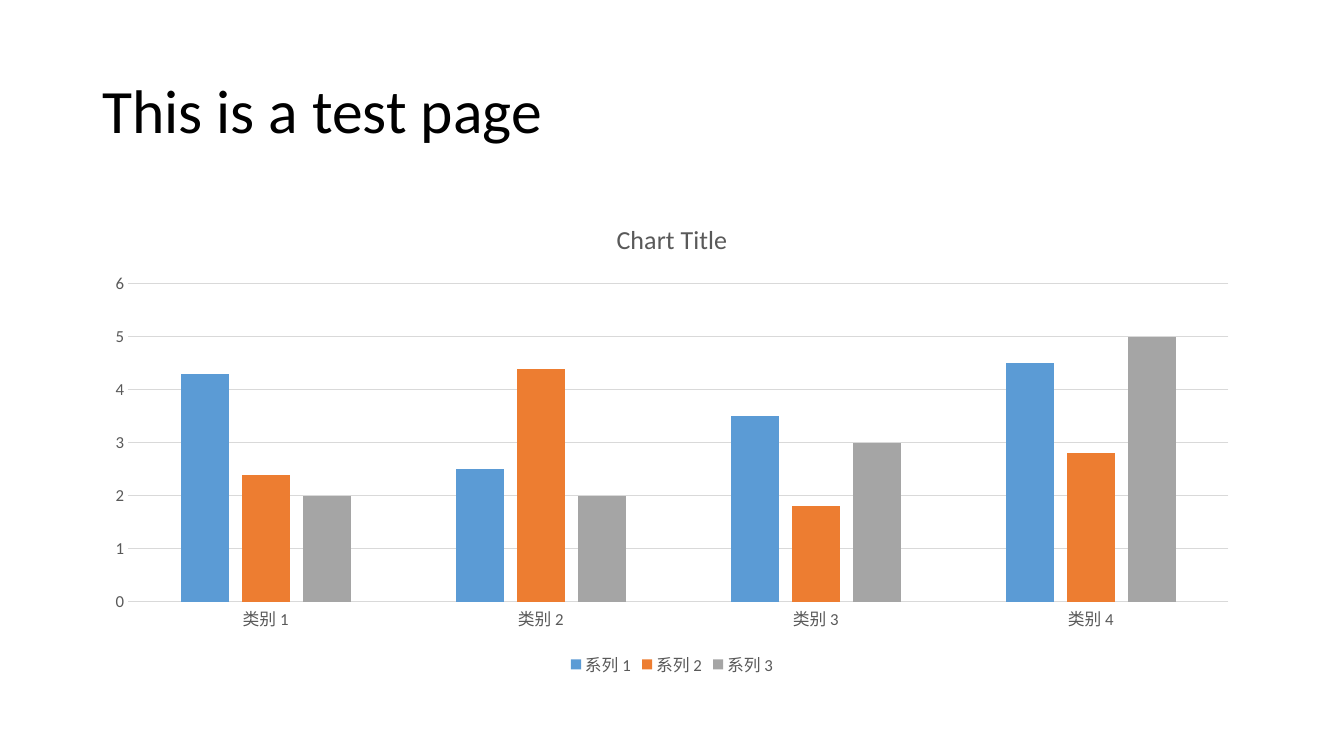
import pptx
import pptx.chart.data
import pptx.dml.color
import pptx.enum.chart
import pptx.enum.text
import pptx.util
from pptx.util import Cm

# Content
HEADING = "This is a test page"
CHART_TITLE = "Chart Title"
CATEGORIES = ["类别 1", "类别 2", "类别 3", "类别 4"]
SERIES = {
    "系列 1": (4.3, 2.5, 3.5, 4.5),
    "系列 2": (2.4, 4.4, 1.8, 2.8),
    "系列 3": (2, 2, 3, 5),
}

THEME = {
    "font": "Calibri",
    "heading": "000000",
    "label": "595959",
    "rule": "D9D9D9",
    "series": ("5B9BD5", "ED7D31", "A5A5A5"),
    "heading_size": 44,
    "title_size": 18.6,
    "label_size": 12,
    "rule_width": 0.75,
}

# Layout
SLIDE_WIDTH, SLIDE_HEIGHT = Cm(33.87), Cm(19.05)
MARGIN = Cm(2.33)
CONTENT_WIDTH = SLIDE_WIDTH - 2 * MARGIN
HEADING_TOP, HEADING_HEIGHT = Cm(1.01), Cm(3.68)
CHART_TOP, CHART_HEIGHT = Cm(5.07), Cm(12.09)


def color(name):
    return pptx.dml.color.RGBColor.from_string(name)


def style_font(font, size, ink):
    font.name = THEME["font"]
    font.size = pptx.util.Pt(size)
    font.bold = False
    font.color.rgb = color(ink)


def write_text(text_frame, text, *, size, ink, line_spacing=None):
    paragraph = text_frame.paragraphs[0]
    paragraph.line_spacing = line_spacing
    run = paragraph.add_run()
    run.text = text
    style_font(run.font, size, ink)


def style_rule(line):
    line.color.rgb = color(THEME["rule"])
    line.width = pptx.util.Pt(THEME["rule_width"])


def add_heading(slide):
    box = slide.shapes.add_textbox(MARGIN, HEADING_TOP, CONTENT_WIDTH, HEADING_HEIGHT)
    box.text_frame.word_wrap = True
    box.text_frame.vertical_anchor = pptx.enum.text.MSO_ANCHOR.MIDDLE
    write_text(box.text_frame, HEADING, size=THEME["heading_size"],
               ink=THEME["heading"], line_spacing=0.9)


def add_column_chart(slide):
    data = pptx.chart.data.CategoryChartData()
    data.categories = CATEGORIES
    for name, values in SERIES.items():
        data.add_series(name, values)
    chart = slide.shapes.add_chart(
        pptx.enum.chart.XL_CHART_TYPE.COLUMN_CLUSTERED,
        MARGIN, CHART_TOP, CONTENT_WIDTH, CHART_HEIGHT, data).chart
    style_font(chart.font, THEME["label_size"], THEME["label"])

    # Title and legend
    chart.has_title = True
    write_text(chart.chart_title.text_frame, CHART_TITLE,
               size=THEME["title_size"], ink=THEME["label"])
    chart.chart_title.include_in_layout = False
    chart.has_legend = True
    chart.legend.position = pptx.enum.chart.XL_LEGEND_POSITION.BOTTOM
    chart.legend.include_in_layout = False
    style_font(chart.legend.font, THEME["label_size"], THEME["label"])

    # Axes
    for axis in (chart.category_axis, chart.value_axis):
        axis.major_tick_mark = pptx.enum.chart.XL_TICK_MARK.NONE
        axis.minor_tick_mark = pptx.enum.chart.XL_TICK_MARK.NONE
        style_font(axis.tick_labels.font, THEME["label_size"], THEME["label"])
    style_rule(chart.category_axis.format.line)
    chart.value_axis.format.line.fill.background()
    chart.value_axis.has_major_gridlines = True
    style_rule(chart.value_axis.major_gridlines.format.line)

    # Columns
    plot = chart.plots[0]
    plot.vary_by_categories = False
    plot.gap_width = 219
    plot.overlap = -27
    for series, fill in zip(plot.series, THEME["series"]):
        series.format.fill.solid()
        series.format.fill.fore_color.rgb = color(fill)


def main():
    presentation = pptx.Presentation()
    presentation.slide_width = SLIDE_WIDTH
    presentation.slide_height = SLIDE_HEIGHT
    slide = presentation.slides.add_slide(presentation.slide_layouts[6])
    add_heading(slide)
    add_column_chart(slide)
    presentation.save("out.pptx")


if __name__ == "__main__":
    main()
